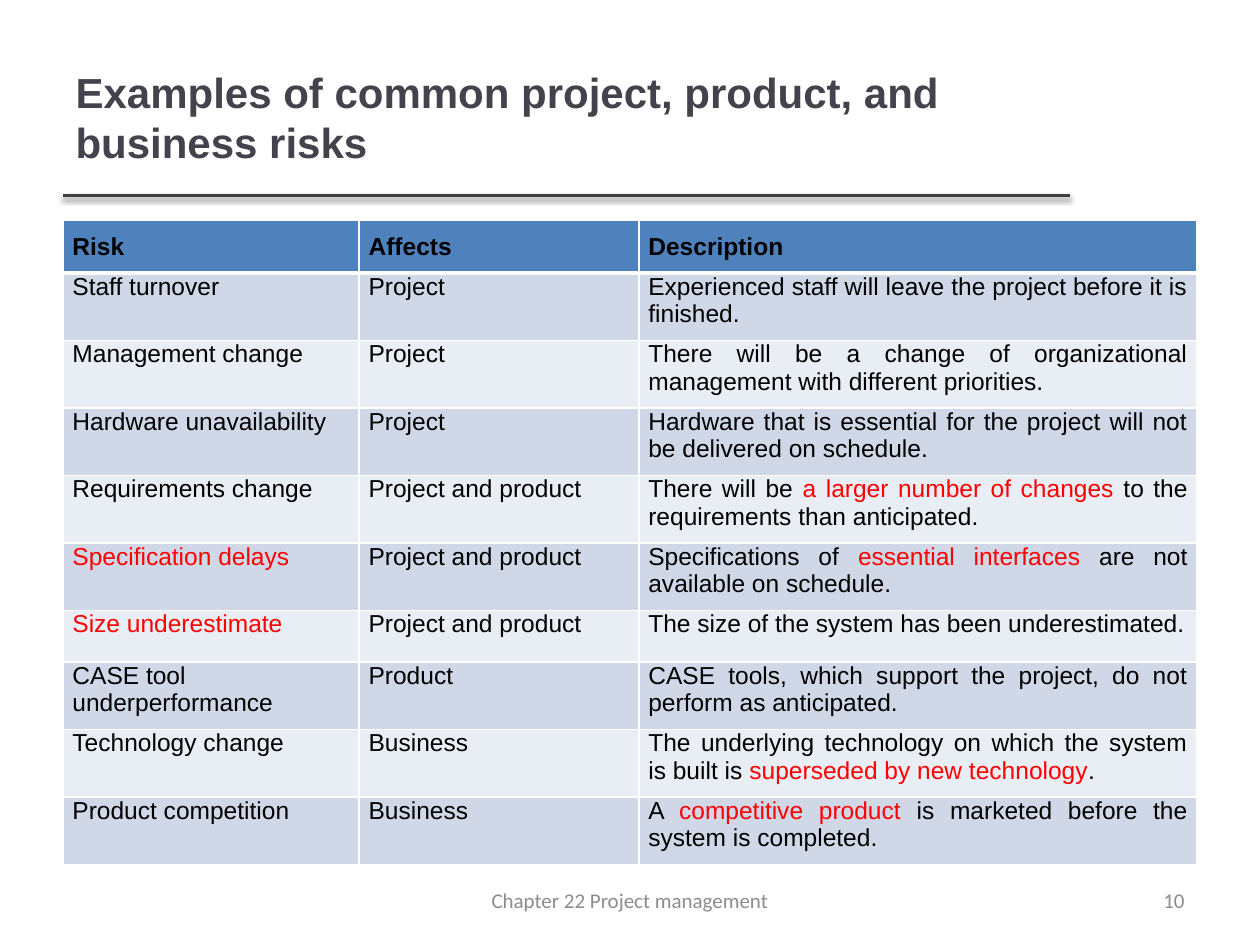
from lxml.etree import SubElement
from pptx import Presentation
from pptx.dml.color import RGBColor
from pptx.enum.shapes import MSO_CONNECTOR
from pptx.enum.text import MSO_ANCHOR as Anchor, PP_ALIGN as Align
from pptx.oxml.ns import qn
from pptx.util import Cm, Pt

BLACK = RGBColor(0x00, 0x00, 0x00)
WHITE = RGBColor(0xFF, 0xFF, 0xFF)
RED = RGBColor(0xFF, 0x00, 0x00)
TITLE_GREY = RGBColor(0x46, 0x42, 0x4D)
RULE_GREY = RGBColor(0x40, 0x40, 0x40)
FOOTER_GREY = RGBColor(0x8C, 0x8C, 0x8C)
HEADER_BLUE = RGBColor(0x4F, 0x81, 0xBD)
BANDS = RGBColor(0xD0, 0xD8, 0xE8), RGBColor(0xE9, 0xED, 0xF4)

# Text between bars is highlighted in red
RISKS = [
    ("Risk", "Affects", "Description"),
    ("Staff turnover", "Project",
     "Experienced staff will leave the project before it is finished."),
    ("Management change", "Project",
     "There will be a change of organizational management with different priorities."),
    ("Hardware unavailability", "Project",
     "Hardware that is essential for the project will not be delivered on schedule."),
    ("Requirements change", "Project and product",
     "There will be |a larger number of changes |to the requirements than anticipated."),
    ("|Specification delays|", "Project and product",
     "Specifications of |essential interfaces |are not available on schedule."),
    ("|Size underestimate|", "Project and product",
     "The size of the system has been underestimated."),
    ("CASE tool underperformance", "Product",
     "CASE tools, which support the project, do not perform as anticipated."),
    ("Technology change", "Business",
     "The underlying technology on which the system is built is "
     "|superseded by new technology|."),
    ("Product competition", "Business",
     "A |competitive product |is marketed before the system is completed."),
]


class SlideBuilder:
    body_font, footer_font = "Arial", "Calibri"

    def __init__(self, slide):
        self.slide = slide

    def style(self, run, name, size, color, bold=False):
        font = run.font
        font.name, font.size, font.bold = name, Pt(size), bold
        font.color.rgb = color

    def title(self, text, left, top, width, height):
        title = self.slide.shapes.title
        title.left, title.top = Cm(left), Cm(top)
        title.width, title.height = Cm(width), Cm(height)
        title.text_frame.text = text
        title.text_frame.vertical_anchor = Anchor.MIDDLE
        heading = title.text_frame.paragraphs[0]
        heading.alignment = Align.LEFT
        self.style(heading.runs[0], self.body_font, 24, TITLE_GREY, True)

    def rule(self, left, right, y):
        rule = self.slide.shapes.add_connector(
            MSO_CONNECTOR.STRAIGHT, Cm(left), Cm(y), Cm(right), Cm(y))
        rule.line.color.rgb, rule.line.width = RULE_GREY, Pt(2)
        effects = SubElement(rule.element.spPr, qn("a:effectLst"))
        shadow = SubElement(effects, qn("a:outerShdw"), blurRad=str(Pt(3.1)),
                            dist=str(Pt(1.6)), dir="5400000", rotWithShape="0")
        tint = SubElement(shadow, qn("a:srgbClr"), val=str(BLACK))
        SubElement(tint, qn("a:alpha"), val="38000")

    def footer(self, text, left, width, align):
        box = self.slide.shapes.add_textbox(Cm(left), Cm(17.65), Cm(width), Cm(1.01))
        frame = box.text_frame
        frame.word_wrap = True
        frame.vertical_anchor = Anchor.MIDDLE
        frame.text = text
        frame.paragraphs[0].alignment = align
        self.style(frame.paragraphs[0].runs[0], self.footer_font, 12, FOOTER_GREY)

    def borders(self, cell, row):
        widths = {"L": 1, "R": 1, "T": 3 if row == 1 else 1, "B": 3 if row == 0 else 1}
        for side, width in widths.items():
            line = SubElement(cell._tc.get_or_add_tcPr(), qn(f"a:ln{side}"),
                              w=str(Pt(width)))
            fill = SubElement(line, qn("a:solidFill"))
            SubElement(fill, qn("a:srgbClr"), val=str(WHITE))

    def cell(self, cell, text, row, column):
        header = row == 0
        self.borders(cell, row)
        cell.fill.solid()
        cell.fill.fore_color.rgb = HEADER_BLUE if header else BANDS[(row - 1) % 2]
        cell.margin_left = cell.margin_right = Cm(0.19)
        cell.margin_top, cell.margin_bottom = Cm(0.25 if header else 0), Cm(0.25)
        paragraph = cell.text_frame.paragraphs[0]
        paragraph.alignment = Align.JUSTIFY if header or column == 2 else Align.LEFT
        for i, part in enumerate(text.split("|")):
            if part:
                run = paragraph.add_run()
                run.text = part
                self.style(run, self.body_font, 14, RED if i % 2 else BLACK, header)

    def table(self, rows, left, top, widths, row_height):
        table = self.slide.shapes.add_table(
            len(rows), len(widths), Cm(left), Cm(top),
            Cm(sum(widths)), Cm(row_height * len(rows))).table
        for column, width in zip(table.columns, widths):
            column.width = Cm(width)
        for r, texts in enumerate(rows):
            for c, text in enumerate(texts):
                self.cell(table.cell(r, c), text, r, c)


def main():
    deck = Presentation()
    deck.slide_width, deck.slide_height = Cm(25.4), Cm(19.05)
    builder = SlideBuilder(deck.slides.add_slide(deck.slide_layouts[5]))

    # Heading
    builder.rule(1.27, 21.56, 3.94)
    builder.title("Examples of common project, product, and business risks",
                  1.27, 0.76, 20.27, 3.18)

    # Risk table
    builder.table(RISKS, 1.27, 4.45, (5.97, 5.64, 11.25), 1.03)

    # Footer
    builder.footer("10", 18.2, 5.93, Align.RIGHT)
    builder.footer("Chapter 22 Project management", 8.68, 8.04, Align.CENTER)

    deck.save("out.pptx")


if __name__ == "__main__":
    main()
